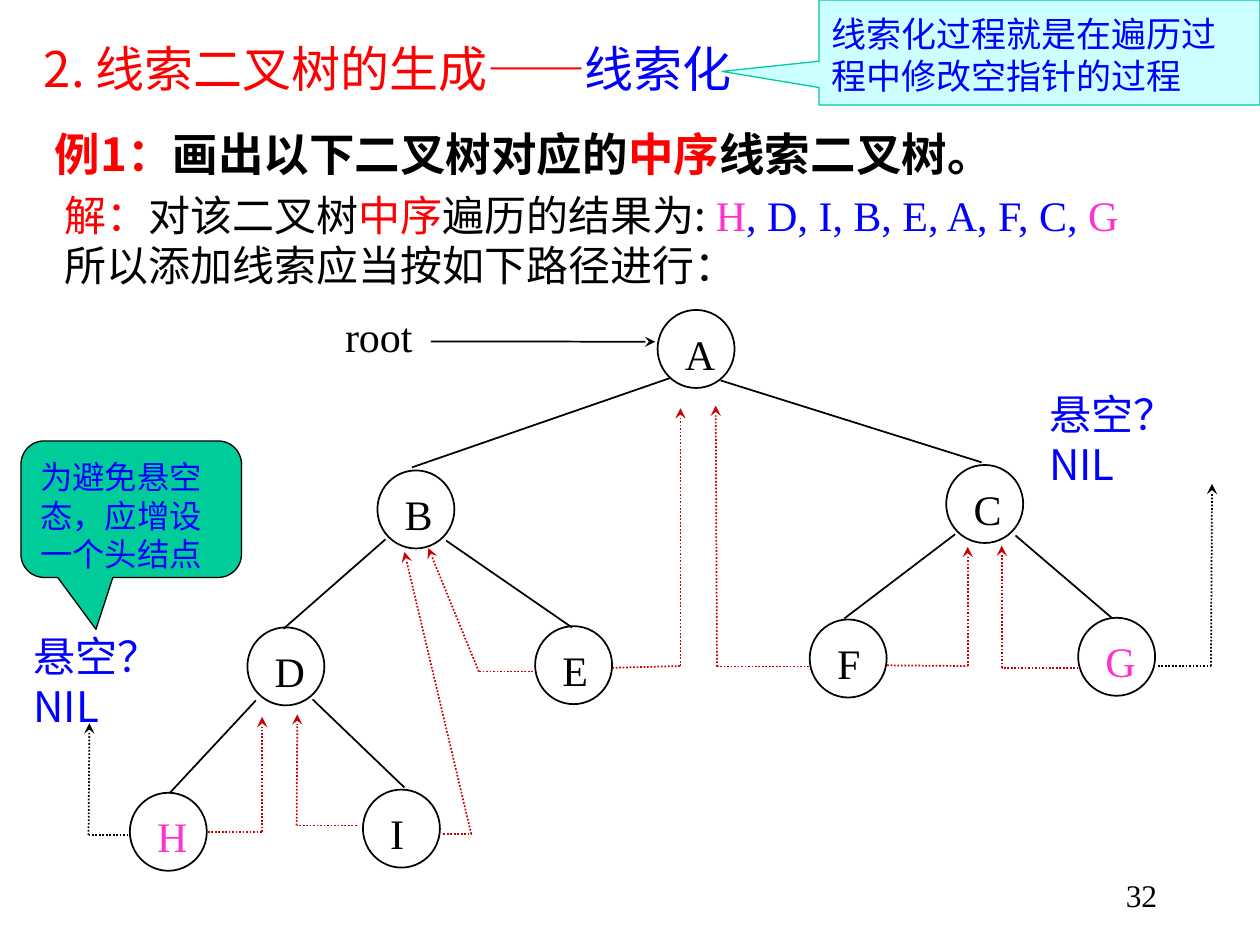
from typing import NamedTuple

from lxml import etree
from pptx import Presentation
from pptx.dml.color import RGBColor
from pptx.enum import dml, shapes, text
from pptx.oxml import ns
from pptx.util import Pt

BLACK, RED, BLUE, PINK = "000000", "FF0000", "0000FF", "FF33CC"
THREAD_RED, GREEN, PALE = "CC0000", "00CC99", "CCFFFF"
ROMAN, CHINESE = "Times New Roman", "Noto Sans CJK SC"
NODE_WIDTH, NODE_HEIGHT = 44, 44.6


class Run(NamedTuple):
    words: str
    color: str = BLACK
    font: str = CHINESE


class Node(NamedTuple):
    label: str
    left: float
    top: float
    label_width: float
    color: str = BLACK


class Edge(NamedTuple):
    start: tuple[float, float]
    end: tuple[float, float]


class Thread(NamedTuple):
    """A dotted path from a node, round a corner, to an arrow tip."""
    start: tuple[float, float]
    corner: tuple[float, float]
    tip: tuple[float, float]
    color: str = THREAD_RED


NODES = [
    Node("A", 375.8, 177.1, 31.7),
    Node("B", 215.7, 268.8, 30.2),
    Node("C", 540.7, 265.7, 30.2),
    Node("D", 141.4, 358.5, 31.7),
    Node("E", 305.8, 357.8, 29.5),
    Node("F", 462.7, 354, 28.1),
    Node("G", 616.1, 353, 31.7, PINK),
    Node("H", 74.2, 453, 31.7, PINK),
    Node("I", 207.4, 451.2, 22.3),
]
EDGES = [
    Edge((383, 216), (235.4, 267.1)),
    Edge((411.8, 217.4), (560.9, 264.2)),
    Edge((220.3, 308.2), (162, 359.3)),
    Edge((254.9, 308.9), (326.9, 358.6)),
    Edge((545.8, 305.3), (482.4, 353.5)),
    Edge((580.3, 306), (635, 352.8)),
    Edge((146.2, 400.3), (97.2, 452.9)),
    Edge((178.6, 399.6), (231.1, 450)),
]
THREADS = [
    Thread((73.4, 477.2), (50.6, 477.2), (51.1, 413.3), BLACK),
    Thread((118.8, 475.4), (149.8, 475.4), (149.8, 409.7)),
    Thread((203.8, 471.7), (169.5, 471.7), (169.9, 408.2)),
    Thread((253.4, 476.6), (269.3, 476.6), (231.1, 315.4)),
    Thread((304.6, 383.8), (273.6, 383.8), (244.8, 313.2)),
    Thread((349.9, 381.6), (388.8, 380.6), (388.8, 233.3)),
    Thread((462.2, 380.9), (409.7, 380.9), (409, 231.8)),
    Thread((506.9, 380.2), (553, 380.6), (553, 312.5)),
    Thread((616.3, 381.6), (572.4, 381.6), (572.4, 311.8)),
    Thread((661.7, 380.6), (692, 380.6), (692.6, 276.5), BLACK),
]


def rgb(color: str) -> RGBColor:
    return RGBColor.from_string(color)


def write(shape, paragraphs: list[list[Run]], *, size: float, bold: bool = False,
          align=text.PP_ALIGN.LEFT, anchor=text.MSO_ANCHOR.TOP,
          wrap: bool = True, compact: bool = False) -> None:
    """Fill a shape with text; compact sets a line pitch of 1.2 times the size."""
    frame = shape.text_frame
    frame.word_wrap = wrap
    frame.auto_size = text.MSO_AUTO_SIZE.NONE if wrap else text.MSO_AUTO_SIZE.SHAPE_TO_FIT_TEXT
    frame.vertical_anchor = anchor
    frame.margin_left = frame.margin_right = Pt(7.2)
    frame.margin_bottom = Pt(3.6)
    frame.margin_top = Pt(3.6 + (0.11 * size if compact else 0))
    for index, runs in enumerate(paragraphs):
        paragraph = frame.paragraphs[0] if index == 0 else frame.add_paragraph()
        paragraph.alignment = align
        paragraph.space_before = Pt(0)
        paragraph.line_spacing = Pt(1.19 * size) if compact else 1.0
        for item in runs:
            run = paragraph.add_run()
            run.text = item.words
            run.font.size = Pt(size)
            run.font.bold = bold
            run.font.name = item.font
            run.font.color.rgb = rgb(item.color)
            east_asian = etree.Element(ns.qn("a:ea"), typeface=CHINESE)
            run.font._element.find(ns.qn("a:latin")).addnext(east_asian)


def add_text(slide, left: float, top: float, width: float, height: float,
             paragraphs: list[list[Run]], **style) -> None:
    box = slide.shapes.add_textbox(Pt(left), Pt(top), Pt(width), Pt(height))
    write(box, paragraphs, **style)


def add_shape(slide, kind, left: float, top: float, width: float, height: float, *,
              fill: str | None, line: str, weight: float, adjustments=()):
    shape = slide.shapes.add_shape(kind, Pt(left), Pt(top), Pt(width), Pt(height))
    shape.shadow.inherit = False
    if fill:
        shape.fill.solid()
        shape.fill.fore_color.rgb = rgb(fill)
    else:
        shape.fill.background()
    shape.line.color.rgb = rgb(line)
    shape.line.width = Pt(weight)
    for index, value in enumerate(adjustments):
        shape.adjustments[index] = value
    return shape


def add_line(slide, start: tuple[float, float], end: tuple[float, float], *,
             color: str = BLACK, dotted: bool = False, arrow: bool = False) -> None:
    connector = slide.shapes.add_connector(
        shapes.MSO_CONNECTOR.STRAIGHT, *(Pt(value) for value in (*start, *end)))
    connector.line.color.rgb = rgb(color)
    connector.line.width = Pt(1)
    if dotted:
        connector.line.dash_style = dml.MSO_LINE.ROUND_DOT
    properties = connector._element.spPr
    if arrow:
        etree.SubElement(properties.find(ns.qn("a:ln")), ns.qn("a:tailEnd"), type="stealth")
    etree.SubElement(properties, ns.qn("a:effectLst"))


def add_thread(slide, thread: Thread) -> None:
    add_line(slide, thread.start, thread.corner, color=thread.color, dotted=True)
    add_line(slide, thread.corner, thread.tip, color=thread.color, dotted=True, arrow=True)


def add_node(slide, node: Node) -> None:
    add_shape(slide, shapes.MSO_SHAPE.OVAL, node.left, node.top, NODE_WIDTH, NODE_HEIGHT,
              fill=None, line=BLACK, weight=1)
    add_text(slide, node.left + 8.5, node.top + 6.8, node.label_width, 36,
             [[Run(node.label, node.color, ROMAN)]], size=24, wrap=False)


def add_tree(slide) -> None:
    for thread in THREADS:
        add_thread(slide, thread)
    for node in NODES:
        add_node(slide, node)
    for edge in EDGES:
        add_line(slide, edge.start, edge.end)
    add_line(slide, (246.2, 195.1), (374.4, 195.3), arrow=True)
    add_text(slide, 190.1, 174.2, 53.3, 36, [[Run("root", font=ROMAN)]], size=24, wrap=False)


def add_wording(slide) -> None:
    title = slide.shapes.title
    title.left, title.top, title.width, title.height = Pt(24), Pt(66), Pt(612), Pt(36)
    write(title, [[Run("例1：", RED), Run("画出以下二叉树对应的"), Run("中序", RED),
                   Run("线索二叉树。")]], size=26, bold=True, compact=True)
    add_text(slide, 18, 18, 438, 42,
             [[Run("2. 线索二叉树的生成", RED), Run("——", RED, ROMAN), Run("线索化", BLUE)]],
             size=28, anchor=text.MSO_ANCHOR.MIDDLE)
    add_text(slide, 30, 102, 672, 65, [
        [Run("解：", RED), Run("对该二叉树"), Run("中序", RED), Run("遍历的结果为: "),
         Run("H", PINK, ROMAN), Run(", D, I, B, E, A, F, C,", BLUE, ROMAN),
         Run(" G", PINK, ROMAN)],
        [Run("所以添加线索应当按如下路径进行：")],
    ], size=24, compact=True)
    for left, top, width in ((12, 354, 90), (592.5, 216, 127.5)):
        add_text(slide, left, top, width, 65,
                 [[Run("悬空？", BLUE, ROMAN)], [Run("NIL", BLUE)]], size=24, compact=True)
    add_text(slide, 518.4, 496.8, 150, 36, [[Run("32", font=ROMAN)]],
             size=18, align=text.PP_ALIGN.RIGHT)


def add_callouts(slide) -> None:
    head_node = add_shape(slide, shapes.MSO_SHAPE.ROUNDED_RECTANGULAR_CALLOUT, 12, 252, 126, 78,
                          fill=GREEN, line=BLACK, weight=0.75, adjustments=(-0.16, 0.88, 0.17))
    write(head_node, [[Run("为避免悬空态，应增设一个头结点", BLUE, ROMAN)]],
          size=18.5, compact=True)
    threading = add_shape(slide, shapes.MSO_SHAPE.RECTANGULAR_CALLOUT, 468, 0, 252, 60,
                          fill=PALE, line=GREEN, weight=0.75, adjustments=(-0.72, 0.18))
    write(threading, [[Run("线索化过程就是在遍历过程中修改空指针的过程", BLUE, ROMAN)]],
          size=20, anchor=text.MSO_ANCHOR.MIDDLE, compact=True)


def main() -> None:
    presentation = Presentation()
    presentation.slide_width, presentation.slide_height = Pt(720), Pt(540)
    slide = presentation.slides.add_slide(presentation.slide_layouts[5])
    add_tree(slide)
    add_wording(slide)
    add_callouts(slide)
    presentation.save("out.pptx")


if __name__ == "__main__":
    main()
